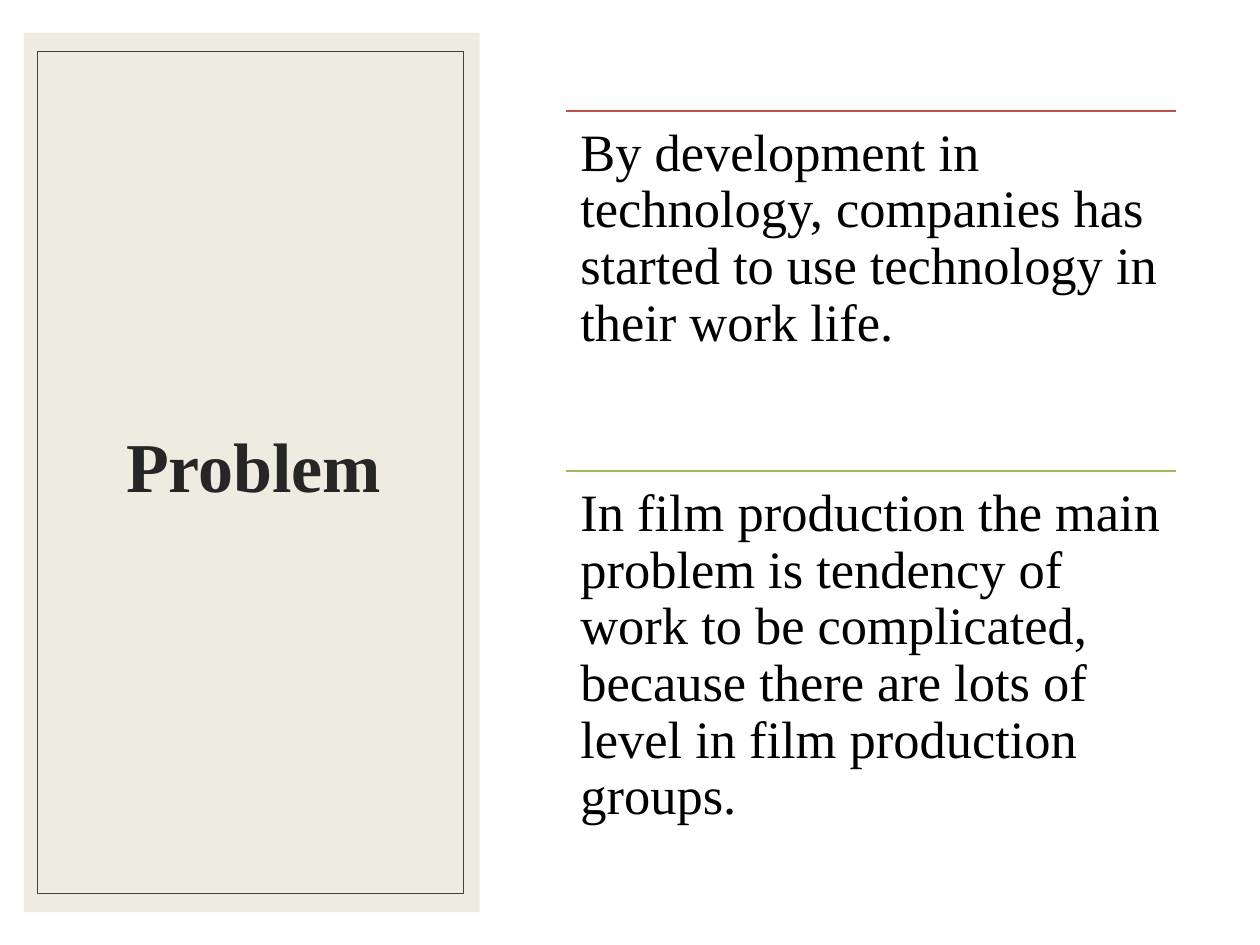
from dataclasses import dataclass
from typing import Optional

from lxml.etree import SubElement
from pptx import Presentation
from pptx.dml.color import RGBColor
from pptx.enum.shapes import MSO_CONNECTOR, MSO_SHAPE
from pptx.enum.text import MSO_ANCHOR, PP_ALIGN
from pptx.oxml.ns import qn
from pptx.slide import Slide
from pptx.util import Cm, Pt

WHITE = RGBColor(0xFF, 0xFF, 0xFF)
CREAM = RGBColor(0xEE, 0xEC, 0xE1)
GRAY = RGBColor(0x40, 0x40, 0x40)
DARK = RGBColor(0x26, 0x26, 0x26)
BLACK = RGBColor(0x00, 0x00, 0x00)
RED = RGBColor(0xC0, 0x50, 0x4D)
GREEN = RGBColor(0x9B, 0xBB, 0x59)

FONT = "Times New Roman"
LEFT, TOP, WIDTH, HEIGHT = 11.4, 2.24, 12.3, 7.26


@dataclass
class Box:
    left: float
    top: float
    width: float
    height: float

    def place(self) -> tuple:
        return Cm(self.left), Cm(self.top), Cm(self.width), Cm(self.height)


@dataclass
class Panel:
    box: Box
    fill: Optional[RGBColor] = None
    line: Optional[RGBColor] = None


@dataclass
class Label:
    text: str
    size: int
    color: RGBColor
    bold: bool = False
    align: PP_ALIGN = PP_ALIGN.LEFT
    anchor: MSO_ANCHOR = MSO_ANCHOR.TOP
    inset: float = 0.3


@dataclass
class Point:
    color: RGBColor
    text: str


PANELS = [
    Panel(Box(0, 0, 25.4, 19.05), fill=WHITE),
    Panel(Box(0.48, 0.66, 9.19, 17.73), fill=CREAM),
    Panel(Box(0.76, 1.04, 8.59, 16.97), line=GRAY),
]

POINTS = [
    Point(RED, "By development in technology, companies has started to use "
               "technology in their work life."),
    Point(GREEN, "In film production the main problem is tendency of work to "
                 "be complicated, because there are lots of level in film "
                 "production groups."),
]


def draw_panel(slide: Slide, panel: Panel) -> None:
    shape = slide.shapes.add_shape(MSO_SHAPE.RECTANGLE, *panel.box.place())
    shape.shadow.inherit = False
    if panel.fill is None:
        shape.fill.background()
    else:
        shape.fill.solid()
        shape.fill.fore_color.rgb = panel.fill
    if panel.line is None:
        shape.line.fill.background()
    else:
        shape.line.color.rgb = panel.line
        shape.line.width = Pt(0.5)


def draw_label(slide: Slide, box: Box, label: Label) -> None:
    frame = slide.shapes.add_textbox(*box.place()).text_frame
    frame.word_wrap = True
    frame.vertical_anchor = label.anchor
    frame.margin_left = frame.margin_right = Cm(label.inset)
    frame.margin_top = frame.margin_bottom = Cm(label.inset)
    frame.text = label.text
    para = frame.paragraphs[0]
    para.alignment = label.align
    para.line_spacing = 0.9
    font = para.runs[0].font
    font.name = FONT
    font.size = Pt(label.size)
    font.bold = label.bold
    font.color.rgb = label.color


def draw_rule(slide: Slide, top: float, color: RGBColor) -> None:
    rule = slide.shapes.add_connector(
        MSO_CONNECTOR.STRAIGHT, Cm(LEFT), Cm(top), Cm(LEFT + WIDTH), Cm(top))
    rule.line.color.rgb = color
    rule.line.width = Pt(1)
    SubElement(rule.element.spPr, qn("a:effectLst"))


def main() -> None:
    deck = Presentation()
    deck.slide_width, deck.slide_height = Cm(25.4), Cm(19.05)
    slide = deck.slides.add_slide(deck.slide_layouts[6])
    for panel in PANELS:
        draw_panel(slide, panel)
    draw_label(slide, Box(1.19, 1.55, 7.85, 15.85),
               Label("Problem", 40, DARK, True, PP_ALIGN.CENTER,
                     MSO_ANCHOR.MIDDLE))
    for row, point in enumerate(POINTS):
        top = TOP + row * HEIGHT
        draw_rule(slide, top, point.color)
        draw_label(slide, Box(LEFT, top, WIDTH, HEIGHT),
                   Label(point.text, 30, BLACK))
    deck.save("out.pptx")


if __name__ == "__main__":
    main()
